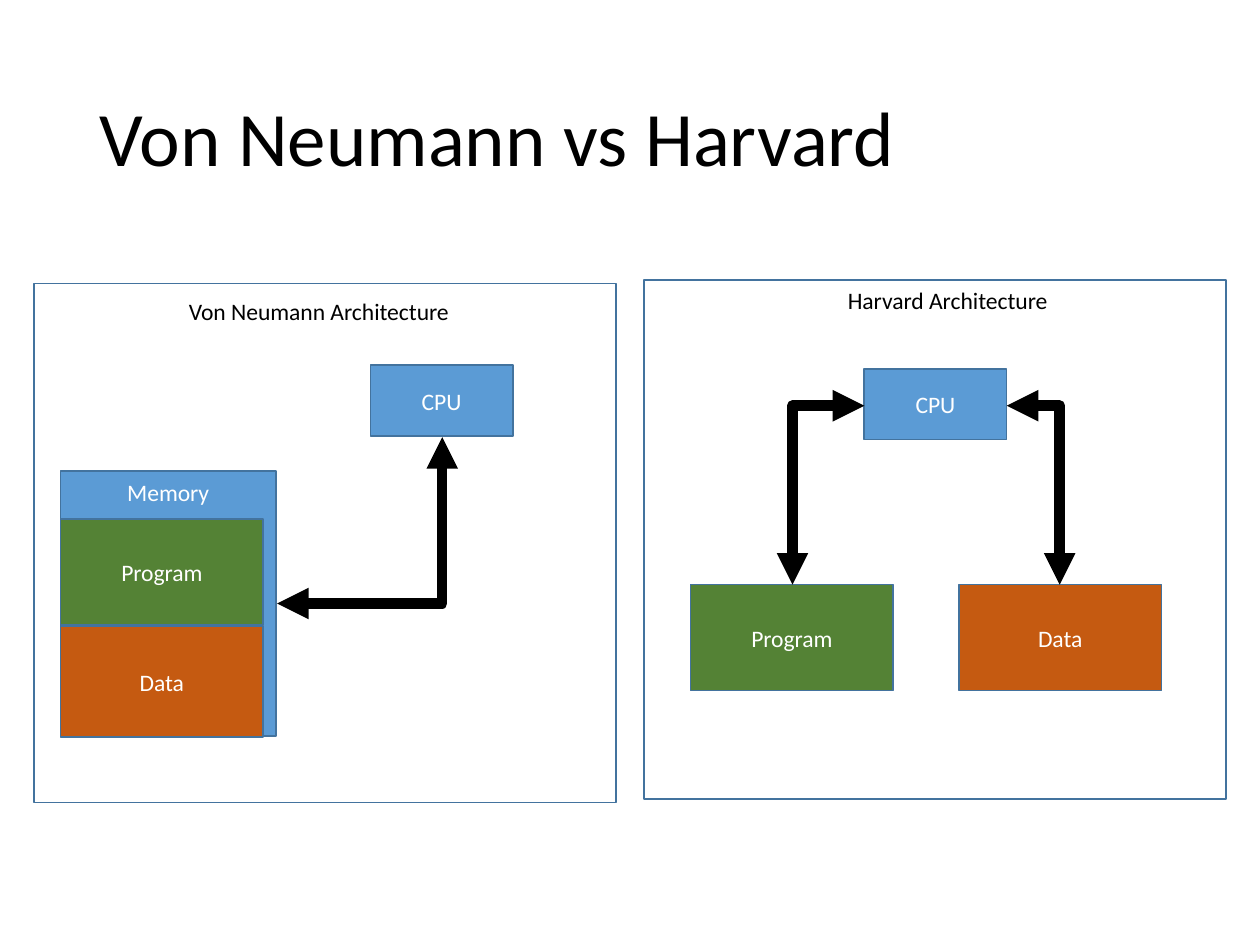
import pptx
import pptx.dml.color
import pptx.enum.shapes
import pptx.enum.text
import pptx.oxml
import pptx.oxml.ns
import pptx.util
from pptx.util import Inches

COLORS = {
    "text": "000000",
    "label": "FFFFFF",
    "outline": "43739E",
    "blue": "5B9BD5",
    "green": "548235",
    "orange": "C55A11",
}
RGB = {name: pptx.dml.color.RGBColor.from_string(value) for name, value in COLORS.items()}
ANCHOR = pptx.enum.text.MSO_ANCHOR


def add_text(shape, text, size, color):
    paragraph = shape.text_frame.paragraphs[0]
    run = paragraph.add_run()
    run.text = text
    run.font.name = "Calibri"
    run.font.size = pptx.util.Pt(size)
    run.font.color.rgb = RGB[color]
    return paragraph


def add_box(left, top, width, height, fill=None):
    shape = slide.shapes.add_shape(
        pptx.enum.shapes.MSO_SHAPE.RECTANGLE,
        Inches(left), Inches(top), Inches(width), Inches(height))
    shape.shadow.inherit = False
    shape.line.color.rgb = RGB["outline"]
    shape.line.width = pptx.util.Pt(1)
    if fill:
        shape.fill.solid()
        shape.fill.fore_color.rgb = RGB[fill]
    else:
        shape.fill.background()
    return shape


presentation = pptx.Presentation()
presentation.slide_width = Inches(10)
presentation.slide_height = Inches(7.5)
slide = presentation.slides.add_slide(presentation.slide_layouts[6])

# Title
title = slide.shapes.add_textbox(Inches(0.69), Inches(0.4), Inches(8.62), Inches(1.45))
title.text_frame.word_wrap = True
title.text_frame.vertical_anchor = ANCHOR.MIDDLE
add_text(title, "Von Neumann vs Harvard", 44, "text").line_spacing = 0.9

# Panels with their headings
panels = [
    (0.27, 2.25, "Von Neumann Architecture", 1.4, 2.31, 2.3),
    (5.11, 2.22, "Harvard Architecture", 6.63, 2.22, 1.81),
]
for left, top, heading, heading_left, heading_top, heading_width in panels:
    add_box(left, top, 4.62, 4.12)
    text_box = slide.shapes.add_textbox(
        Inches(heading_left), Inches(heading_top), Inches(heading_width), Inches(0.33))
    text_box.text_frame.word_wrap = False
    add_text(text_box, heading, 13.5, "text")

# Processor and memory blocks
blocks = [
    ("CPU", 2.94, 2.9, 1.13, 0.56, "blue", ANCHOR.MIDDLE),
    ("Memory", 0.48, 3.74, 1.71, 2.1, "blue", ANCHOR.TOP),
    ("Program", 0.48, 4.12, 1.61, 0.84, "green", ANCHOR.MIDDLE),
    ("Data", 0.48, 4.97, 1.61, 0.88, "orange", ANCHOR.MIDDLE),
    ("CPU", 6.86, 2.93, 1.13, 0.56, "blue", ANCHOR.MIDDLE),
    ("Program", 5.48, 4.64, 1.61, 0.84, "green", ANCHOR.MIDDLE),
    ("Data", 7.61, 4.64, 1.61, 0.84, "orange", ANCHOR.MIDDLE),
]
for name, left, top, width, height, fill, anchor in blocks:
    block = add_box(left, top, width, height, fill)
    block.text_frame.vertical_anchor = anchor
    add_text(block, name, 13.5, "label").alignment = pptx.enum.text.PP_ALIGN.CENTER

# Two-way buses: one bend, horizontal leg first
buses = [
    (2.2, 4.79, 3.51, 3.47),
    (6.86, 3.22, 6.29, 4.64),
    (7.99, 3.22, 8.41, 4.64),
]
for bus in buses:
    connector = slide.shapes.add_connector(
        pptx.enum.shapes.MSO_CONNECTOR.ELBOW, *[Inches(value) for value in bus])
    connector.line.color.rgb = RGB["text"]
    connector.line.width = pptx.util.Pt(6)
    properties = connector._element.spPr
    properties.find(pptx.oxml.ns.qn("a:prstGeom")).set("prst", "bentConnector2")
    line = properties.find(pptx.oxml.ns.qn("a:ln"))
    for end in ("a:headEnd", "a:tailEnd"):
        arrowhead = pptx.oxml.xmlchemy.OxmlElement(end)
        arrowhead.set("type", "triangle")
        line.append(arrowhead)
    properties.append(pptx.oxml.xmlchemy.OxmlElement("a:effectLst"))

presentation.save("out.pptx")
